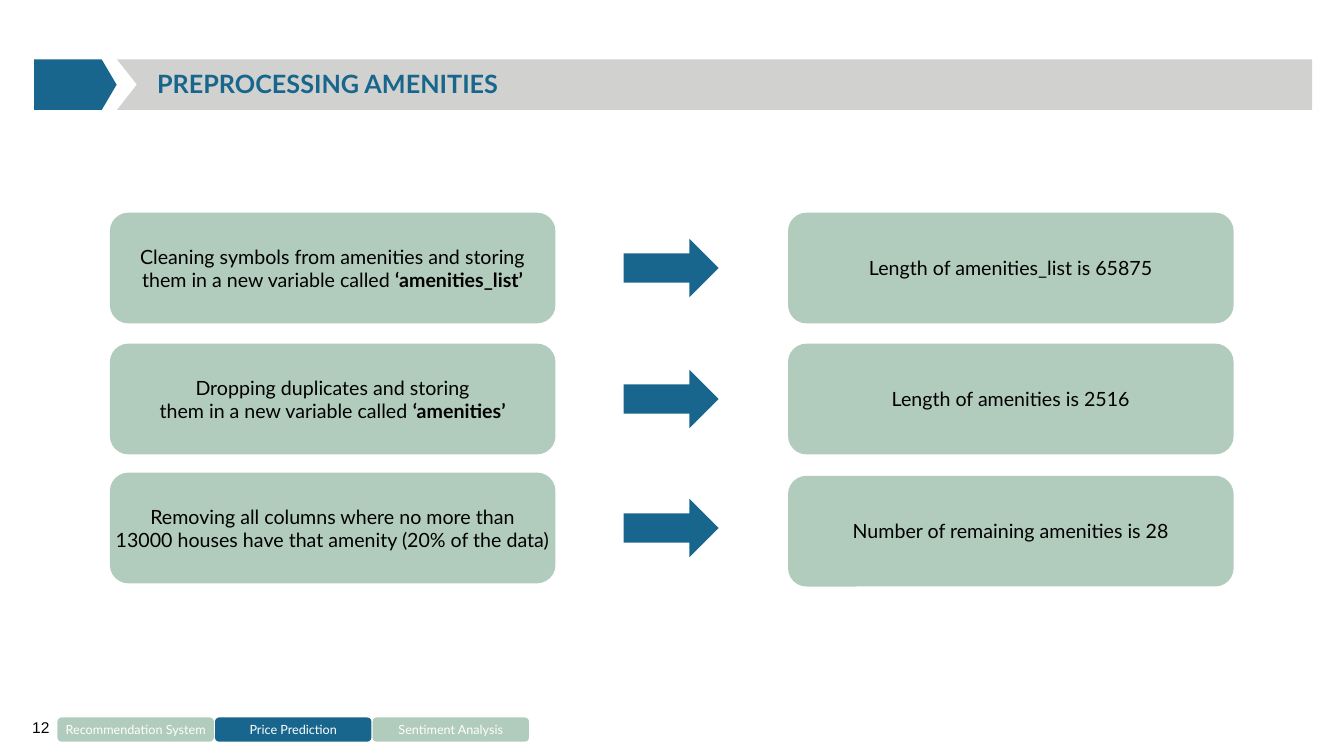
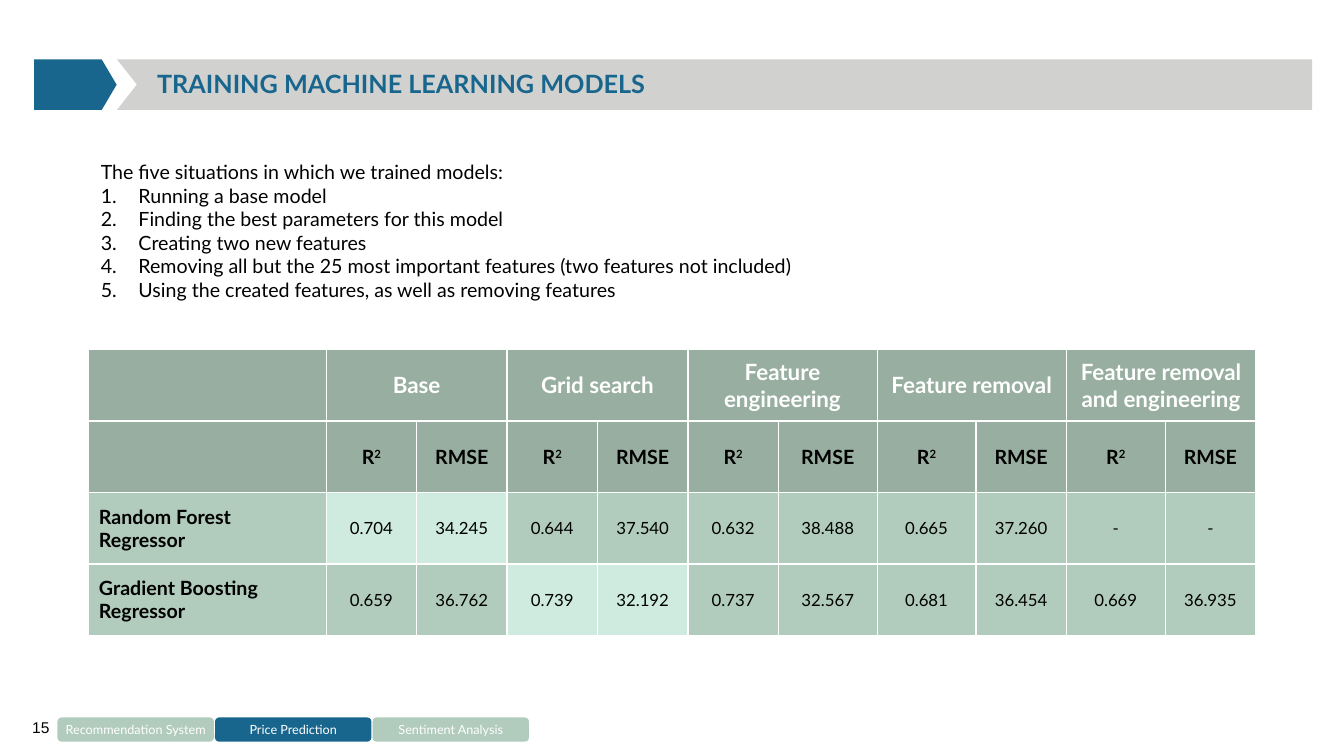
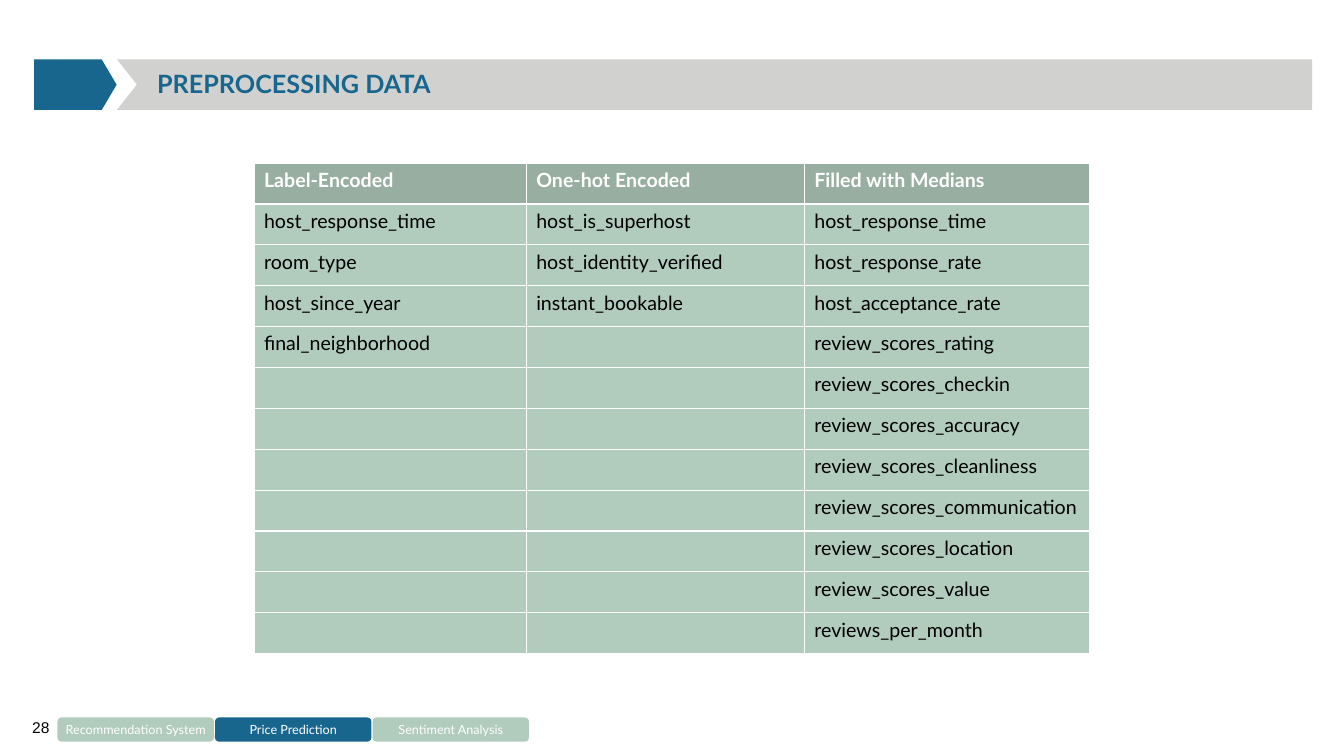
from pptx import Presentation
from pptx.dml.color import RGBColor
from pptx.enum.shapes import MSO_SHAPE as Kind
from pptx.enum.text import MSO_ANCHOR as Anchor, PP_ALIGN as Align
from pptx.util import Cm, Pt
from lxml import etree

rgb = RGBColor.from_string
BLUE, SAGE, DARK, MINT = "18668D", "B1CBBD", "97AEA0", "CFEBE0"
GREY, WHITE, BLACK = "D1D2CF", "FFFFFF", "000000"

BODY = {"name": "Lato", "size": Pt(14), "color": BLACK, "bold": False}
BOLD = BODY | {"bold": True}
HEAD = BOLD | {"color": WHITE}
TITLE = BOLD | {"size": Pt(18), "color": BLUE}
TAB = BODY | {"size": Pt(9), "color": WHITE}
PAGE = BODY | {"name": "Arial", "size": Pt(11.1)}
DATA = BODY | {"size": Pt(12)}


def write(frame, lines, font, align=Align.LEFT):
    """Fill a frame; each line is a string or a list of (text, format changes)."""
    for i, line in enumerate(lines):
        para = frame.paragraphs[0] if i == 0 else frame.add_paragraph()
        para.alignment = align
        for text, extra in [(line, {})] if isinstance(line, str) else line:
            run = para.add_run()
            run.text = text
            for key, value in (font | extra).items():
                if key == "color":
                    run.font.color.rgb = rgb(value)
                else:
                    setattr(run.font, key, value)


def block(slide, kind, box, fill, lines=(), font=BODY):
    """Add a flat preset shape with centred text; box is in centimetres."""
    shape = slide.shapes.add_shape(kind, *map(Cm, box))
    shape.shadow.inherit = False
    shape.fill.solid()
    shape.fill.fore_color.rgb = rgb(fill)
    shape.line.fill.background()
    if lines:
        shape.text_frame.word_wrap = False
        shape.text_frame.vertical_anchor = Anchor.MIDDLE
        write(shape.text_frame, lines, font, Align.CENTER)
    return shape


prs = Presentation()
prs.slide_width, prs.slide_height = Cm(33.87), Cm(19.05)

# Shared frame: title band, page number and section tabs
slides = []
for page, title in [
    ("12", "PREPROCESSING AMENITIES"),
    ("15", "TRAINING MACHINE LEARNING MODELS"),
    ("28", "PREPROCESSING DATA"),
]:
    slide = prs.slides.add_slide(prs.slide_layouts[6])
    slides.append(slide)

    path = slide.shapes.build_freeform(Cm(2.95), Cm(1.5))
    path.add_line_segments([
        (Cm(x), Cm(y))
        for x, y in [(33.07, 1.5), (33.07, 2.77), (2.95, 2.77), (3.45, 2.13)]
    ])
    band = path.convert_to_shape()
    band.shadow.inherit = False
    band.fill.solid()
    band.fill.fore_color.rgb = rgb(GREY)
    band.line.fill.background()
    badge = block(slide, Kind.PENTAGON, (0.86, 1.5, 2.08, 1.27), BLUE)
    badge.adjustments[0] = 0.295

    frame = slide.shapes.add_textbox(Cm(3.71), Cm(1.52), Cm(29.39), Cm(1.24)).text_frame
    frame.word_wrap = True
    frame.vertical_anchor = Anchor.MIDDLE
    write(frame, [title], TITLE)
    frame.paragraphs[0].line_spacing = 0.9

    frame = slide.shapes.add_textbox(Cm(0.81), Cm(18.08), Cm(0.56), Cm(0.61)).text_frame
    for key, value in {
        "margin_left": 0, "margin_right": 0, "margin_top": 0,
        "margin_bottom": Cm(0.13), "word_wrap": True, "vertical_anchor": Anchor.BOTTOM,
    }.items():
        setattr(frame, key, value)
    write(frame, [page], PAGE)

    for i, name in enumerate(["Recommendation System", "Price Prediction", "Sentiment Analysis"]):
        fill = BLUE if name == "Price Prediction" else SAGE
        block(slide, Kind.ROUNDED_RECTANGLE, (1.45 + 3.97 * i, 18.08, 3.94, 0.61), fill, [name], TAB)

first, second, third = slides

# Amenities: each step points to its result
WIDE, HIGH, TIP = 11.23, 2.79, 1.47
for top, end, step, result in [
    (5.36, 5.36,
     ["Cleaning symbols from amenities and storing",
      [("them in a new variable called ", {}), ("‘amenities_list’", {"bold": True})]],
     "Length of amenities_list is 65875"),
    (8.66, 8.66,
     ["Dropping duplicates and storing",
      [("them in a new variable called ", {}), ("‘amenities’", {"bold": True})]],
     "Length of amenities is 2516"),
    (11.91, 11.99,
     ["Removing all columns where no more than",
      "13000 houses have that amenity (20% of the data)"],
     "Number of remaining amenities is 28"),
]:
    block(first, Kind.ROUNDED_RECTANGLE, (2.77, top, WIDE, HIGH), SAGE, step)
    block(first, Kind.RIGHT_ARROW, (15.72, top + (HIGH - TIP) / 2, 2.39, TIP), BLUE)
    block(first, Kind.ROUNDED_RECTANGLE, (19.86, end, WIDE, HIGH), SAGE, [result])

# Models: numbered situations
frame = second.shapes.add_textbox(Cm(2.29), Cm(3.91), Cm(18.14), Cm(3.84)).text_frame
frame.word_wrap = True
write(frame, [
    "The five situations in which we trained models:",
    "Running a base model",
    "Finding the best parameters for this model",
    "Creating two new features",
    "Removing all but the 25 most important features (two features not included)",
    "Using the created features, as well as removing features",
], BODY, Align.JUSTIFY)
for para in frame.paragraphs[1:]:
    props = para._p.get_or_add_pPr()
    props.set("marL", str(Cm(0.95)))
    props.set("indent", str(-Cm(0.95)))
    space = props.nsmap["a"]
    etree.SubElement(props, f"{{{space}}}buAutoNum", type="arabicPeriod")

# Both tables: grid and fills
models = [
    ["", "Base", "", "Grid search", "", "Feature engineering", "",
     "Feature removal", "", "Feature removal and engineering", ""],
    [""] + ["R2", "RMSE"] * 5,
    ["Random Forest Regressor", "0.704", "34.245", "0.644", "37.540", "0.632",
     "38.488", "0.665", "37.260", "-", "-"],
    ["Gradient Boosting Regressor", "0.659", "36.762", "0.739", "32.192", "0.737",
     "32.567", "0.681", "36.454", "0.669", "36.935"],
]
columns = [
    ["Label-Encoded", "host_response_time", "room_type", "host_since_year",
     "final_neighborhood"] + [""] * 7,
    ["One-hot Encoded", "host_is_superhost", "host_identity_verified",
     "instant_bookable"] + [""] * 8,
    ["Filled with Medians", "host_response_time", "host_response_rate",
     "host_acceptance_rate", "review_scores_rating", "review_scores_checkin",
     "review_scores_accuracy", "review_scores_cleanliness",
     "review_scores_communication", "review_scores_location",
     "review_scores_value", "reviews_per_month"],
]
fields = list(zip(*columns))
slim, broad = 2.28, 2.49
tables = []
for slide, left, top, widths, height, rows, heads in [
    (second, 2.24, 8.81,
     [5.98] + [slim] * 5 + [broad, broad, slim, broad, slim], 1.8, models, 2),
    (third, 6.4, 4.11, [6.86, 7.01, 7.19], 1.03, fields, 1),
]:
    table = slide.shapes.add_table(
        len(rows), len(widths), Cm(left), Cm(top), Cm(sum(widths)), Cm(height * len(rows))
    ).table
    table.horz_banding = False
    for column, width in zip(table.columns, widths):
        column.width = Cm(width)
    for r, row in enumerate(table.rows):
        row.height = Cm(height)
        for cell in row.cells:
            cell.fill.solid()
            cell.fill.fore_color.rgb = rgb(DARK if r < heads else SAGE)
    tables.append(table)
scores, encoding = tables

# Model scores: paired headings, text and best results
for c in range(1, 11, 2):
    scores.cell(0, c).merge(scores.cell(0, c + 1))
for r, row in enumerate(models):
    for c, text in enumerate(row):
        if not text:
            continue
        cell = scores.cell(r, c)
        cell.vertical_anchor = Anchor.MIDDLE
        if r == 0:
            font = HEAD | {"size": Pt(16)}
        else:
            font = BOLD if r == 1 or c == 0 else DATA
        line = [("R", {}), ("2", {})] if text == "R2" else text
        write(cell.text_frame, [line], font, Align.CENTER if c else Align.LEFT)
        if text == "R2":
            power = cell.text_frame.paragraphs[0].runs[1]
            power._r.get_or_add_rPr().set("baseline", "30000")
for r, c in [(2, 1), (2, 2), (3, 3), (3, 4)]:
    scores.cell(r, c).fill.fore_color.rgb = rgb(MINT)

# Data preprocessing: fields by treatment
for r, row in enumerate(fields):
    for c, text in enumerate(row):
        if text:
            write(encoding.cell(r, c).text_frame, [text], BODY if r else HEAD)

prs.save("out.pptx")
